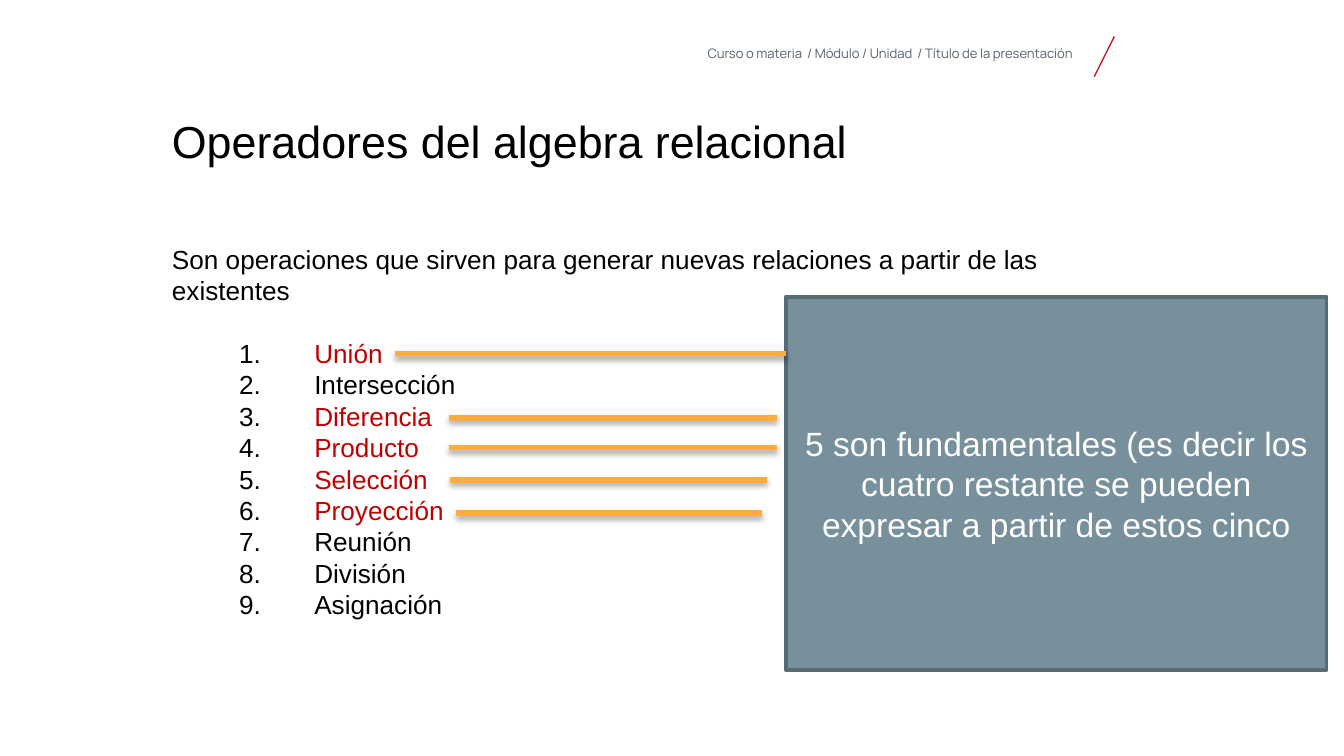
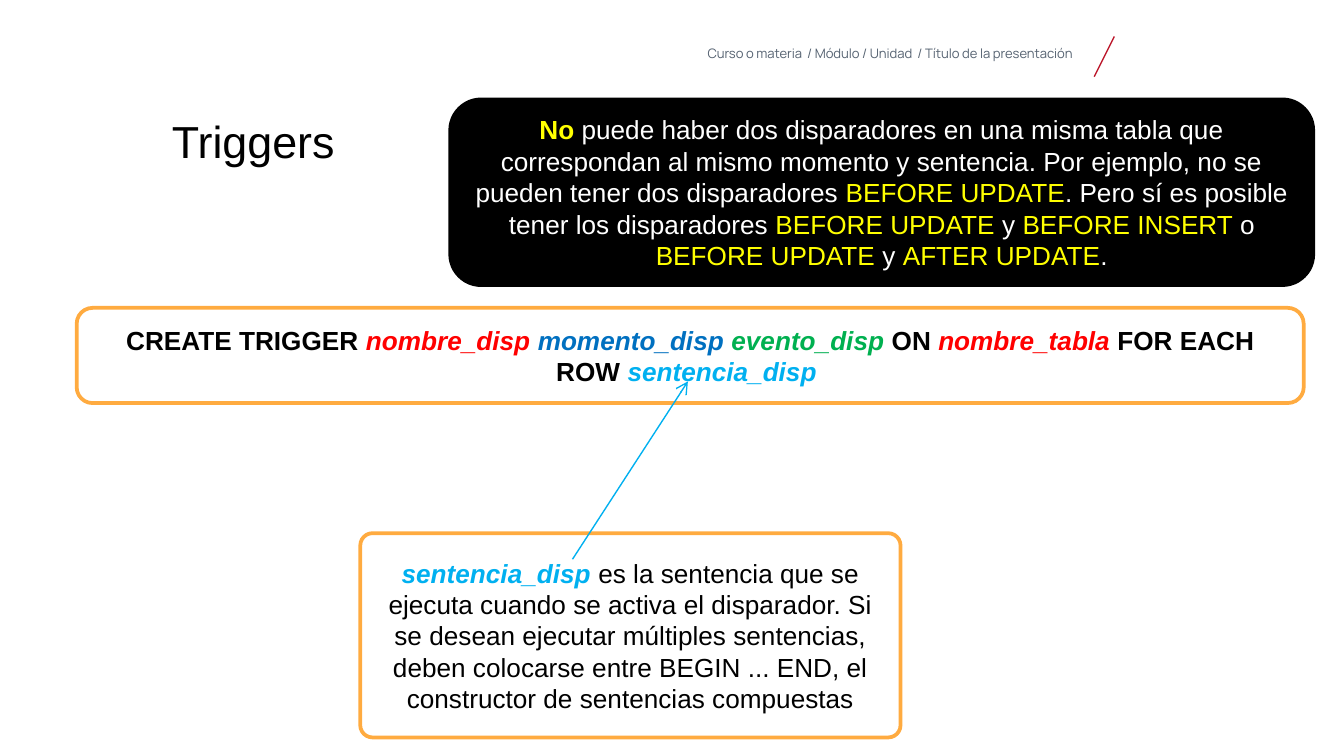
"""Build two slides on relational operators and triggers."""
import typing

import lxml.etree
import pptx
import pptx.dml.color
import pptx.enum.shapes
import pptx.enum.text
import pptx.oxml.ns
import pptx.util

Cm = pptx.util.Cm
Pt = pptx.util.Pt
qn = pptx.oxml.ns.qn
Align = pptx.enum.text.PP_ALIGN
Anchor = pptx.enum.text.MSO_ANCHOR
Kind = pptx.enum.shapes.MSO_SHAPE

HUES = {
    "black": "000000", "white": "FFFFFF", "slate": "556271", "slash": "BC182C",
    "key": "C00000", "panel": "78909C", "edge": "596B73", "orange": "FFAB40",
    "red": "FF0000", "blue": "0070C0", "green": "00B050", "sky": "00B0F0",
    "yellow": "FFFF00",
}
CRUMB = "Curso o materia  / Módulo / Unidad  / Título de la presentación "


class Run(typing.NamedTuple):
    text: str
    hue: str = "black"
    bold: bool = False
    slant: bool = False


class Area(typing.NamedTuple):
    left: float
    top: float
    width: float
    height: float


class Box(typing.NamedTuple):
    area: Area
    fill: str
    edge: str
    runs: list[Run]
    size: float = 14
    kind: Kind = Kind.ROUNDED_RECTANGLE
    curve: float | None = None


class Line(typing.NamedTuple):
    start: tuple[float, float]
    end: tuple[float, float]
    hue: str
    width: float = 0.75
    arrow: bool = False
    shade: bool = False


ITEMS = [
    Run("Unión", "key"), Run("Intersección"), Run("Diferencia", "key"),
    Run("Producto", "key"), Run("Selección", "key"), Run("Proyección", "key"),
    Run("Reunión"), Run("División"), Run("Asignación"),
]
SPANS = [
    (7.47, 14.86, 6.68), (8.48, 14.68, 7.9), (8.48, 14.68, 8.46),
    (8.51, 14.5, 9.07), (8.61, 14.4, 9.7),
]
PANEL = Box(
    Area(14.86, 5.61, 10.21, 7.06), "panel", "edge",
    [Run("5 son fundamentales (es decir los cuatro restante se pueden "
         "expresar a partir de estos cinco", "white")],
    18, Kind.RECTANGLE,
)
CODE = Box(
    Area(1.45, 5.82, 23.19, 1.8), "white", "orange",
    [
        Run("CREATE TRIGGER ", bold=True),
        Run("nombre_disp ", "red", True, True),
        Run("momento_disp ", "blue", True, True),
        Run("evento_disp ", "green", True, True),
        Run("ON ", bold=True),
        Run("nombre_tabla", "red", True, True),
        Run(" FOR EACH ROW ", bold=True),
        Run("sentencia_disp ", "sky", True, True),
    ],
)
NOTE = Box(
    Area(6.81, 10.08, 10.21, 3.86), "white", "orange",
    [
        Run("sentencia_disp", "sky", True, True),
        Run(" es la sentencia que se ejecuta cuando se activa el disparador. "
            "Si se desean ejecutar múltiples sentencias, deben colocarse entre "
            "BEGIN ... END, el constructor de sentencias compuestas"),
    ],
    curve=0.06,
)
RULE = Box(
    Area(8.51, 1.88, 16.31, 3.51), "black", "black",
    [
        Run("No", "yellow", True),
        Run(" puede haber dos disparadores en una misma tabla que correspondan "
            "al mismo momento y sentencia. Por ejemplo, no se pueden tener dos "
            "disparadores ", "white"),
        Run("BEFORE UPDATE", "yellow"),
        Run(". Pero sí es posible tener los disparadores ", "white"),
        Run("BEFORE UPDATE ", "yellow"),
        Run("y ", "white"),
        Run("BEFORE INSERT ", "yellow"),
        Run("o ", "white"),
        Run("BEFORE UPDATE ", "yellow"),
        Run("y ", "white"),
        Run("AFTER UPDATE", "yellow"),
        Run(".", "white"),
    ],
)


def tint(name: str) -> pptx.dml.color.RGBColor:
    return pptx.dml.color.RGBColor.from_string(HUES[name])


def write(para, runs: list[Run], size: float, face: str = "Arial") -> None:
    for item in runs:
        run = para.add_run()
        run.text = item.text
        font = run.font
        font.name, font.size = face, Pt(size)
        font.bold, font.italic = item.bold, item.slant
        font.color.rgb = tint(item.hue)


def add_text(slide, area: Area):
    frame = slide.shapes.add_textbox(*map(Cm, area)).text_frame
    frame.word_wrap = True
    frame.margin_left = frame.margin_right = Cm(0)
    frame.margin_top = frame.margin_bottom = Cm(0)
    return frame


def add_box(slide, box: Box) -> None:
    shape = slide.shapes.add_shape(box.kind, *map(Cm, box.area))
    shape.shadow.inherit = False
    shape.fill.solid()
    shape.fill.fore_color.rgb = tint(box.fill)
    shape.line.color.rgb = tint(box.edge)
    shape.line.width = Pt(2)
    if box.curve is not None:
        shape.adjustments[0] = box.curve
    frame = shape.text_frame
    frame.word_wrap = True
    frame.vertical_anchor = Anchor.MIDDLE
    para = frame.paragraphs[0]
    para.alignment = Align.CENTER
    write(para, box.runs, box.size)


def add_line(slide, line: Line) -> None:
    link = slide.shapes.add_connector(
        pptx.enum.shapes.MSO_CONNECTOR.STRAIGHT, *map(Cm, line.start + line.end))
    link.line.color.rgb = tint(line.hue)
    link.line.width = Pt(line.width)
    sub = lxml.etree.SubElement
    props = link._element.spPr
    if line.arrow:
        sub(props.find(qn("a:ln")), qn("a:tailEnd"), type="arrow")
    fx = sub(props, qn("a:effectLst"))
    if line.shade:
        cast = sub(fx, qn("a:outerShdw"), blurRad=str(Pt(3.1)),
                   dist=str(Pt(1.8)), dir="5400000", rotWithShape="0")
        hue = sub(cast, qn("a:srgbClr"), val=HUES["black"])
        sub(hue, qn("a:alpha"), val="35000")


def add_list(slide) -> None:
    frame = add_text(slide, Area(3.25, 4.6, 18.47, 9.02))
    intro = Run("Son operaciones que sirven para generar nuevas relaciones "
                "a partir de las existentes")
    write(frame.paragraphs[0], [intro], 14)
    for rank, item in enumerate(ITEMS):
        para = frame.add_paragraph()
        para.level = 1
        props = para._p.get_or_add_pPr()
        props.set("marL", str(Cm(2.69)))
        props.set("indent", str(Cm(-1.42)))
        hue = lxml.etree.SubElement(props, qn("a:buClr"))
        lxml.etree.SubElement(hue, qn("a:srgbClr"), val=HUES["black"])
        lxml.etree.SubElement(props, qn("a:buAutoNum"), type="arabicPeriod")
        if rank == 0:
            para.space_before = Pt(16.8)
        write(para, [item], 14)


def add_slide(deck, title: str):
    slide = deck.slides.add_slide(deck.slide_layouts[6])
    crumb = add_text(slide, Area(12.57, 0.89, 7.75, 0.36)).paragraphs[0]
    crumb.alignment = Align.RIGHT
    crumb.line_spacing = 0.9
    write(crumb, [Run(CRUMB, "slate")], 7, "Manrope")
    add_line(slide, Line((21.06, 0.69), (20.68, 1.45), "slash"))
    head = add_text(slide, Area(3.25, 2.26, 13.49, 2.11)).paragraphs[0]
    head.line_spacing = 0.9
    write(head, [Run(title)], 24)
    return slide


def main() -> None:
    deck = pptx.Presentation()
    deck.slide_width, deck.slide_height = Cm(25.4), Cm(14.29)

    slide = add_slide(deck, "Operadores del algebra relacional")
    add_list(slide)
    add_box(slide, PANEL)
    for left, right, top in SPANS:
        add_line(slide, Line((left, top), (right, top), "orange", 3, shade=True))

    slide = add_slide(deck, "Triggers")
    for box in (CODE, NOTE, RULE):
        add_box(slide, box)
    add_line(slide, Line((10.82, 10.57), (13, 7.21), "sky", arrow=True))

    deck.save("out.pptx")


if __name__ == "__main__":
    main()
